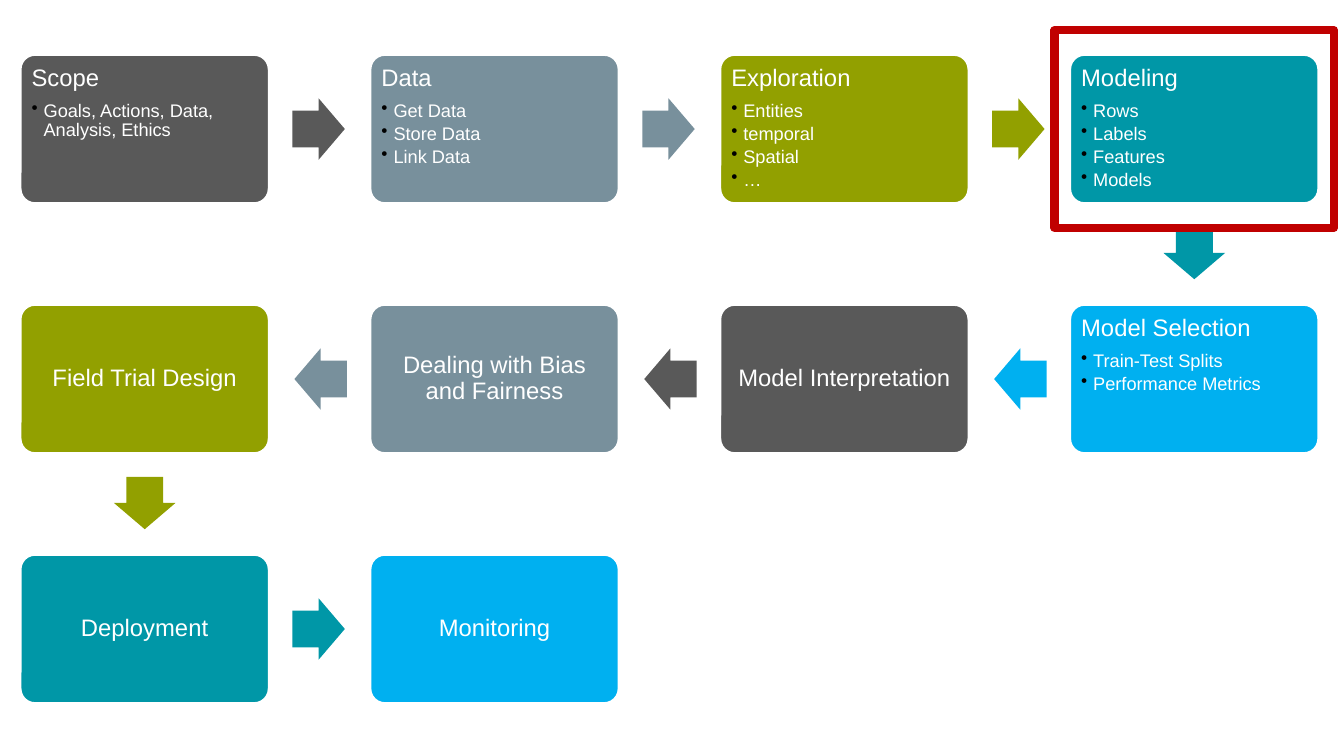
from dataclasses import dataclass

from lxml.etree import SubElement
from pptx import Presentation
from pptx.dml.color import RGBColor
from pptx.enum.shapes import MSO_SHAPE
from pptx.enum.text import MSO_ANCHOR, PP_ALIGN
from pptx.oxml.ns import qn
from pptx.util import Inches, Pt


@dataclass(frozen=True)
class Theme:
    stage_colors: tuple = ("595959", "78909C", "92A000", "0097A7", "00B0F0")
    light: str = "FFFFFF"
    bullet: str = "000000"
    highlight: str = "C00000"
    font: str = "Arial"
    heading_size: int = 17
    bullet_size: int = 13


@dataclass(frozen=True)
class Box:
    left: float
    top: float
    width: float
    height: float

    def inches(self):
        return [Inches(value) for value in (self.left, self.top, self.width, self.height)]


THEME = Theme()

STAGES = [
    ("Scope", ["Goals, Actions, Data, Analysis, Ethics"]),
    ("Data", ["Get Data", "Store Data", "Link Data"]),
    ("Exploration", ["Entities", "temporal", "Spatial", "…"]),
    ("Modeling", ["Rows", "Labels", "Features", "Models"]),
    ("Model Selection", ["Train-Test Splits", "Performance Metrics"]),
    ("Model Interpretation", []),
    ("Dealing with Bias and Fairness", []),
    ("Field Trial Design", []),
    ("Deployment", []),
    ("Monitoring", []),
]
CURRENT_STAGE = "Modeling"

# Grid and arrow measures, in inches
COLUMNS = 4
GRID_LEFT, GRID_TOP = 0.2, 0.54
COLUMN_PITCH, ROW_PITCH = 3.47, 2.48
STAGE_WIDTH, STAGE_HEIGHT = 2.47, 1.48
ARROW_LENGTH, ARROW_BREADTH, ARROW_GAP = 0.52, 0.61, 0.23
ARROW_ROTATION = {(1, 0): 0, (0, 1): 90, (-1, 0): 180}


def grid_cell(index):
    """Column and row on a path that turns back at the end of each row."""
    row, column = divmod(index, COLUMNS)
    return (column if row % 2 == 0 else COLUMNS - 1 - column), row


def stage_box(index):
    column, row = grid_cell(index)
    return Box(GRID_LEFT + column * COLUMN_PITCH, GRID_TOP + row * ROW_PITCH,
               STAGE_WIDTH, STAGE_HEIGHT)


def add_filled_shape(slide, kind, box, color):
    shape = slide.shapes.add_shape(kind, *box.inches())
    shape.shadow.inherit = False
    shape.fill.solid()
    shape.fill.fore_color.rgb = RGBColor.from_string(color)
    shape.line.fill.background()
    return shape


def write_paragraph(paragraph, text, size, space_after):
    paragraph.line_spacing = 0.9
    paragraph.space_after = Pt(space_after)
    run = paragraph.add_run()
    run.text = text
    run.font.name = THEME.font
    run.font.size = Pt(size)
    run.font.color.rgb = RGBColor.from_string(THEME.light)


def add_bullet(paragraph):
    properties = paragraph._p.get_or_add_pPr()
    properties.set("marL", str(Inches(0.12)))
    properties.set("indent", str(Inches(-0.12)))
    color = SubElement(properties, qn("a:buClr"))
    SubElement(color, qn("a:srgbClr"), val=THEME.bullet)
    SubElement(properties, qn("a:buChar"), char="•")


def add_stage(slide, box, color, heading, bullets):
    shape = add_filled_shape(slide, MSO_SHAPE.ROUNDED_RECTANGLE, box, color)
    shape.adjustments[0] = 0.1
    shape.line.color.rgb = RGBColor.from_string(THEME.light)
    shape.line.width = Pt(2)

    frame = shape.text_frame
    frame.word_wrap = True
    frame.margin_left = frame.margin_right = Inches(0.07)
    frame.margin_top = frame.margin_bottom = Inches(0.07)
    frame.vertical_anchor = MSO_ANCHOR.TOP if bullets else MSO_ANCHOR.MIDDLE

    title = frame.paragraphs[0]
    title.alignment = PP_ALIGN.LEFT if bullets else PP_ALIGN.CENTER
    write_paragraph(title, heading, THEME.heading_size, 7)
    for text in bullets:
        item = frame.add_paragraph()
        item.alignment = PP_ALIGN.LEFT
        item.level = 1
        write_paragraph(item, text, THEME.bullet_size, 2.4)
        add_bullet(item)


def add_step_arrow(slide, box, direction, color):
    """Arrow beside the box, pointing to the next stage."""
    across, down = direction
    reach = ARROW_GAP + ARROW_LENGTH / 2
    center_x = box.left + box.width / 2 + across * (box.width / 2 + reach)
    center_y = box.top + box.height / 2 + down * (box.height / 2 + reach)
    arrow_box = Box(center_x - ARROW_LENGTH / 2, center_y - ARROW_BREADTH / 2,
                    ARROW_LENGTH, ARROW_BREADTH)
    arrow = add_filled_shape(slide, MSO_SHAPE.RIGHT_ARROW, arrow_box, color)
    arrow.adjustments[0] = 0.6
    arrow.adjustments[1] = 0.5
    arrow.rotation = ARROW_ROTATION[direction]


def add_highlight(slide, box):
    frame_box = Box(box.left - 0.15, box.top - 0.24, box.width + 0.3, box.height + 0.48)
    frame = slide.shapes.add_shape(MSO_SHAPE.RECTANGLE, *frame_box.inches())
    frame.shadow.inherit = False
    frame.fill.background()
    frame.line.color.rgb = RGBColor.from_string(THEME.highlight)
    frame.line.width = Pt(6)


def add_process(slide):
    # Stages and the arrows between them
    for index, (heading, bullets) in enumerate(STAGES):
        box = stage_box(index)
        color = THEME.stage_colors[index % len(THEME.stage_colors)]
        add_stage(slide, box, color, heading, bullets)
        if index + 1 < len(STAGES):
            column, row = grid_cell(index)
            next_column, next_row = grid_cell(index + 1)
            add_step_arrow(slide, box, (next_column - column, next_row - row), color)

    # Frame around the current stage
    headings = [heading for heading, _ in STAGES]
    add_highlight(slide, stage_box(headings.index(CURRENT_STAGE)))


def main():
    presentation = Presentation()
    presentation.slide_width = Inches(13.33)
    presentation.slide_height = Inches(7.5)
    slide = presentation.slides.add_slide(presentation.slide_layouts[6])
    add_process(slide)
    presentation.save("out.pptx")


if __name__ == "__main__":
    main()
